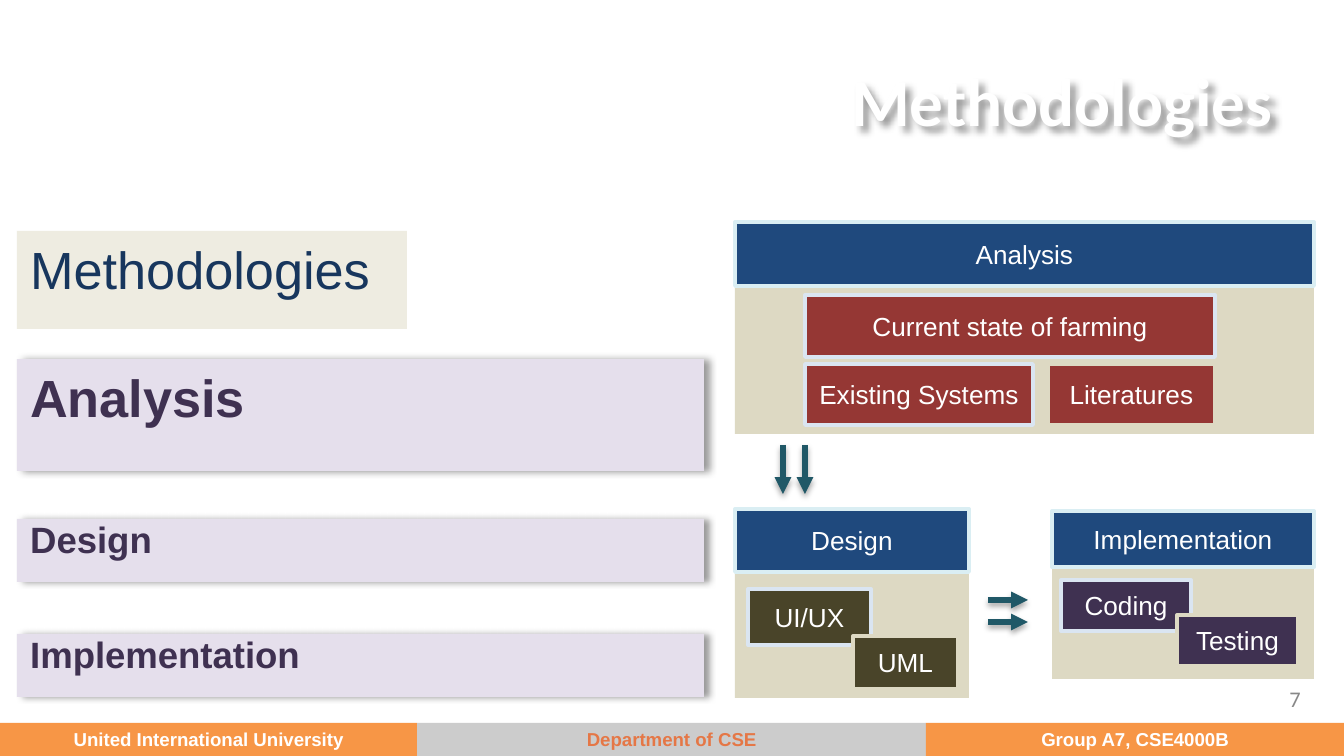
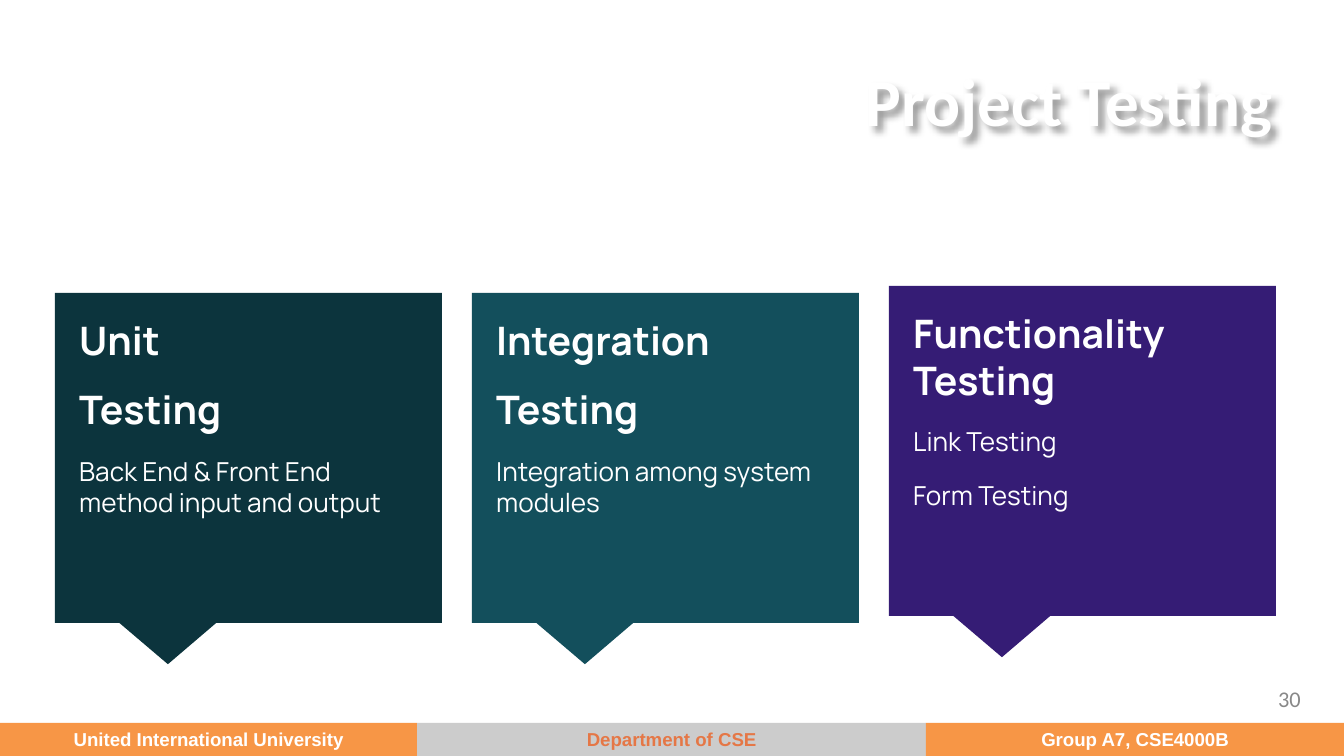
from lxml.etree import SubElement
from pptx import Presentation
from pptx.dml.color import RGBColor
from pptx.enum.shapes import MSO_CONNECTOR as CONNECTOR, MSO_SHAPE as SHAPE
from pptx.enum.text import MSO_ANCHOR as ANCHOR, PP_ALIGN as ALIGN
from pptx.oxml.ns import qn
from pptx.util import Emu, Inches, Pt

W, H = 1344, 756
SCALE = Inches(10) / W
COLORS = {
    "white": "FFFFFF", "black": "000000", "grey": "888888",
    "orange": "F79646", "silver": "CCCCCC", "rust": "E57746",
    "sand": "DDD9C3", "cream": "EEECE1", "lilac": "E5DFEC",
    "blue": "1F497D", "navy": "17365D", "ice": "DAEEF3", "mist": "DAE5F1",
    "red": "953734", "plum": "3F3151", "olive": "494429", "teal": "205867",
    "pine": "0C343D", "lagoon": "134F5C", "violet": "351C75",
}


def px(*values):
    """Turn px lengths into EMU."""
    return [Emu(round(v * SCALE)) for v in values]


def rgb(name):
    """Look up a colour by name."""
    return RGBColor.from_string(COLORS[name])


def cast_shadow(sp, alpha, blur, dist, angle):
    """Give a shape an outer shadow; lengths in points, angle in degrees."""
    spPr = sp.element.spPr
    effects = spPr.find(qn("a:effectLst"))
    if effects is None:
        effects = SubElement(spPr, qn("a:effectLst"))
    shadow = SubElement(effects, qn("a:outerShdw"), blurRad=str(Pt(blur)),
                        dist=str(Pt(dist)), dir=str(angle * 60000),
                        algn="bl", rotWithShape="0")
    color = SubElement(shadow, qn("a:srgbClr"), val=COLORS["black"])
    SubElement(color, qn("a:alpha"), val=str(alpha * 1000))


def style(p, size, color, font="Arial", bold=False, align=ALIGN.LEFT):
    """Format a whole paragraph."""
    p.alignment = align
    p.font.size, p.font.name, p.font.bold = Pt(size), font, bold
    p.font.color.rgb = rgb(color)


def add_block(slide, box, fill, line=None, shape=SHAPE.RECTANGLE):
    """Add a filled shape with an optional 2 pt outline."""
    sp = slide.shapes.add_shape(shape, *px(*box))
    sp.shadow.inherit = False
    sp.fill.solid()
    sp.fill.fore_color.rgb = rgb(fill)
    if line:
        sp.line.color.rgb = rgb(line)
        sp.line.width = Pt(2)
    else:
        sp.line.fill.background()
    return sp


def add_card(slide, box, text, fill, line):
    """Add an outlined block with a centred white caption."""
    tf = add_block(slide, box, fill, line).text_frame
    tf.margin_left, tf.margin_right = px(7, 7)
    tf.vertical_anchor = ANCHOR.MIDDLE
    tf.text = text
    style(tf.paragraphs[0], 14, "white", align=ALIGN.CENTER)


def add_footer(slide, layout):
    """Build the three-part footer band and place it on the layout."""
    parts = [("United International University", 417, "orange", "white"),
             ("Department of CSE", 509, "silver", "rust"),
             ("Group A7, CSE4000B", 418, "orange", "white")]
    left, top = 0, 723
    for text, width, fill, color in parts:
        sp = add_block(slide, (left, top, width, H - top), fill)
        sp.text_frame.vertical_anchor = ANCHOR.MIDDLE
        sp.text_frame.text = text
        style(sp.text_frame.paragraphs[0], 10, color, bold=True, align=ALIGN.CENTER)
        layout.shapes.element.append(sp.element)
        left += width


def add_titled_slide(prs, layout, title, number):
    """Add a slide with its shadowed title and page number."""
    slide = prs.slides.add_slide(layout)
    sp = slide.shapes.title
    sp.left, sp.top, sp.width, sp.height = px(73, 44, 1213, 112)
    sp.fill.background()
    cast_shadow(sp, 40, 4, 3, 50)
    tf = sp.text_frame
    tf.text = title
    tf.vertical_anchor = ANCHOR.MIDDLE
    style(tf.paragraphs[0], 36, "white", "Calibri", True, ALIGN.RIGHT)
    tf = slide.shapes.add_textbox(*px(1001, 679, 313, 40)).text_frame
    tf.word_wrap = True
    tf.vertical_anchor = ANCHOR.MIDDLE
    tf.text = str(number)
    style(tf.paragraphs[0], 12, "grey", "Calibri", align=ALIGN.RIGHT)
    return slide


def add_label(slide, box, text, size, fill="lilac", color="plum",
              bold=True, spacing=None):
    """Add a label of the left column; bold ones cast a shadow."""
    sp = add_block(slide, box, fill)
    if bold:
        cast_shadow(sp, 40, 4, 3, 0)
    tf = sp.text_frame
    tf.vertical_anchor = ANCHOR.TOP
    tf.text = text
    p = tf.paragraphs[0]
    p.line_spacing = spacing
    style(p, size, color, bold=bold, align=ALIGN.JUSTIFY)


def add_stage(slide, box, title, header, fill, cards):
    """Add a stage: header, sand body and cards placed relative to the box."""
    left, top, width, height = box
    add_block(slide, (left, top + header, width, height - header), "sand")
    add_card(slide, (left, top, width, header), title, "blue", "ice")
    for text, (x, y, w, h), line in cards:
        add_card(slide, (left + x, top + y, w, h), text, fill, line)


def add_arrow(slide, start, end):
    """Add a teal arrow with a soft shadow."""
    c = slide.shapes.add_connector(CONNECTOR.STRAIGHT, *px(*start, *end))
    c.line.color.rgb = rgb("teal")
    c.line.width = Pt(3)
    SubElement(c.element.spPr.find(qn("a:ln")), qn("a:tailEnd"), type="triangle")
    cast_shadow(c, 34, 3.1, 1.8, 90)


def add_callout(slide, left, top, fill, heads, notes):
    """Add a callout with bold headings above lighter notes."""
    sp = add_block(slide, (left, top, 387, 330), fill,
                   shape=SHAPE.RECTANGULAR_CALLOUT)
    sp.adjustments[0], sp.adjustments[1] = -0.208, 0.625
    tf = slide.shapes.add_textbox(*px(left + 11, top + 10, 364, 294)).text_frame
    tf.word_wrap = True
    tf.margin_top = tf.margin_bottom = Inches(0.1)
    for i, text in enumerate(heads + notes):
        p = tf.add_paragraph() if i else tf.paragraphs[0]
        p.text = text
        if i:
            p.space_before = Pt(12)
        is_head = i < len(heads)
        style(p, 21 if is_head else 14, "white", "Manrope", is_head)
    p.space_after = Pt(12)


def build_methodologies(slide):
    """Fill the methodologies slide."""
    add_label(slide, (17, 231, 390, 98), "Methodologies", 28,
              "cream", "navy", bold=False)
    add_label(slide, (17, 359, 687, 112), "Analysis", 28)
    for top, text in ((519, "Design"), (634, "Implementation")):
        add_label(slide, (17, top, 687, 63), text, 19.6, spacing=0.8)

    add_stage(slide, (735, 222, 579, 212), "Analysis", 64, "red", [
        ("Current state of farming", (70, 73, 410, 62), "mist"),
        ("Existing Systems", (70, 142, 228, 61), "mist"),
        ("Literatures", (313, 142, 167, 61), "sand")])
    add_stage(slide, (735, 509, 234, 189), "Design", 63, "olive", [
        ("UI/UX", (13, 80, 123, 56), "mist"),
        ("UML", (118, 127, 105, 53), "sand")])
    add_stage(slide, (1052, 511, 262, 168), "Implementation", 56, "plum", [
        ("Coding", (9, 69, 130, 51), "mist"),
        ("Testing", (125, 104, 121, 51), "sand")])

    for x in (783, 805):
        add_arrow(slide, (x, 445), (x, 494))
    for y in (600, 622):
        add_arrow(slide, (988, y), (1028, y))


def build_testing(slide):
    """Fill the project testing slide."""
    callouts = [
        (293, "pine", ["Unit", "Testing"],
         ["Back End & Front End method input and output"]),
        (293, "lagoon", ["Integration", "Testing"],
         ["Integration among system modules"]),
        (286, "violet", ["Functionality Testing"],
         ["Link Testing", "Form Testing"])]
    for i, callout in enumerate(callouts):
        add_callout(slide, 55 + i * 417, *callout)


def main():
    """Build and save the presentation."""
    prs = Presentation()
    prs.slide_width, prs.slide_height = px(W, H)
    layout = prs.slide_layouts.get_by_name("Title Only")
    slide = add_titled_slide(prs, layout, "Methodologies", 7)
    add_footer(slide, layout)
    build_methodologies(slide)
    build_testing(add_titled_slide(prs, layout, "Project Testing", 30))
    prs.save("out.pptx")


if __name__ == "__main__":
    main()
